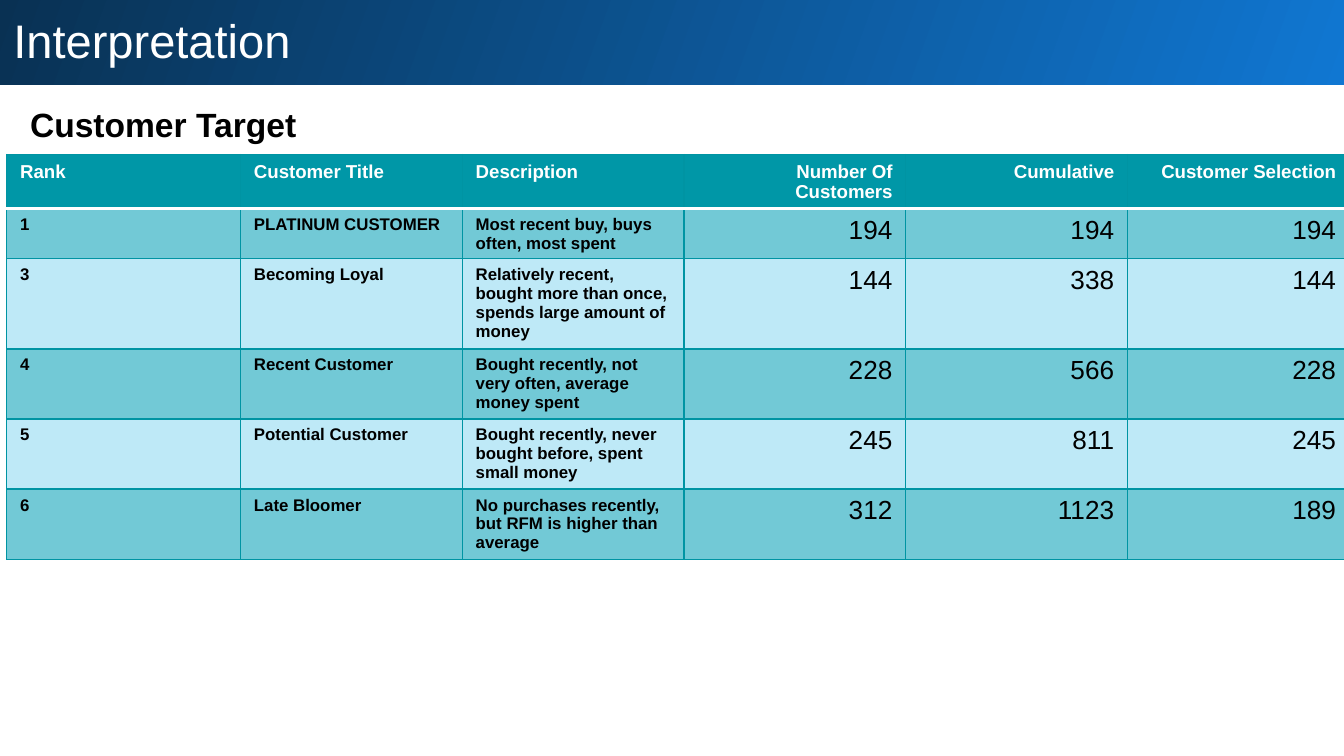
from lxml.etree import SubElement
from pptx import Presentation
from pptx.dml.color import RGBColor
from pptx.enum.shapes import MSO_SHAPE as Shape
from pptx.enum.text import MSO_ANCHOR as Anchor, PP_ALIGN as Align
from pptx.oxml.ns import qn
from pptx.util import Inches, Pt

WIDTH = 10
HEIGHT = WIDTH * 9 / 16
FONT = "Arial"
COLORS = {
    "white": "FFFFFF", "black": "000000",
    "bar_light": "1077D2", "bar_dark": "093153",
    "header": "0097A7", "grid": "0094A3",
    "band": "72C9D6", "plain": "BEE9F7",
}
COLUMN_WIDTHS = [1.74] + [1.65] * 5
ROW_HEIGHTS = [0.4, 0.37, 0.64] + [0.51] * 3
FIRST_NUMBER_COLUMN = 3
ROWS = [
    ("Rank", "Customer Title", "Description", "Number Of Customers",
     "Cumulative", "Customer Selection"),
    ("1", "PLATINUM CUSTOMER", "Most recent buy, buys often, most spent",
     "194", "194", "194"),
    ("3", "Becoming Loyal",
     "Relatively recent, bought more than once, spends large amount of money",
     "144", "338", "144"),
    ("4", "Recent Customer",
     "Bought recently, not very often, average money spent",
     "228", "566", "228"),
    ("5", "Potential Customer",
     "Bought recently, never bought before, spent small money",
     "245", "811", "245"),
    ("6", "Late Bloomer",
     "No purchases recently, but RFM is higher than average",
     "312", "1123", "189"),
]


def color(name):
    return RGBColor.from_string(COLORS[name])


def place(shape, box):
    shape.left, shape.top, shape.width, shape.height = map(Inches, box)


def write(frame, text, size, ink, bold=False, align=Align.LEFT):
    frame.text = text
    para = frame.paragraphs[0]
    para.alignment = align
    para.font.name, para.font.size, para.font.bold = FONT, Pt(size), bold
    para.font.color.rgb = color(ink)
    return para


def set_margins(frame, anchor):
    frame.word_wrap = True
    frame.vertical_anchor = anchor
    frame.margin_left = frame.margin_right = Inches(0.1)
    frame.margin_top = frame.margin_bottom = Inches(0.1)


def add_title_bar(page, box):
    left, top, width, height = box
    bar = page.shapes.add_shape(Shape.RECTANGLE, *map(Inches, box))
    bar.shadow.inherit = False
    bar.line.fill.background()
    bar.fill.gradient()
    bar.fill.gradient_angle = 160
    for stop, name in zip(bar.fill.gradient_stops, ("bar_light", "bar_dark")):
        stop.color.rgb = color(name)

    title = page.shapes.title
    title.element.addprevious(bar.element)
    place(title, (0, top, 0.932 * WIDTH, height - 0.02))
    set_margins(title.text_frame, Anchor.MIDDLE)
    write(title.text_frame, "Interpretation", 25.2, "white")


def add_subtitle(page, box):
    frame = page.shapes.add_textbox(*map(Inches, box)).text_frame
    set_margins(frame, Anchor.TOP)
    para = write(frame, "Customer Target", 18, "black", bold=True)
    para.line_spacing = 1.15
    para._p.get_or_add_pPr().set("marL", str(Inches(0.125)))


def set_borders(cell, edges):
    """Draw edges, a dict of side to (colour name, points), in schema order."""
    properties = cell._tc.get_or_add_tcPr()
    for index, side in enumerate("LRTB"):
        name, points = edges[side]
        line = SubElement(properties, qn(f"a:ln{side}"), w=str(Pt(points)))
        fill = SubElement(line, qn("a:solidFill"))
        SubElement(fill, qn("a:srgbClr"), val=COLORS[name])
        properties.insert(index, line)


def format_cell(cell, text, row, column):
    is_header, is_number = row == 0, column >= FIRST_NUMBER_COLUMN
    size = 10 if is_header else 14 if is_number else 9
    write(cell.text_frame, text, size, "white" if is_header else "black",
          bold=is_header or not is_number,
          align=Align.RIGHT if is_number else Align.LEFT)
    cell.margin_bottom = Inches(0.02)
    cell.fill.solid()
    cell.fill.fore_color.rgb = color(
        "header" if is_header else "band" if row % 2 else "plain")
    edges = dict.fromkeys("LRTB", ("grid", 0.75))
    if row < 2:
        edges["B" if is_header else "T"] = ("white", 2)
    set_borders(cell, edges)


def add_customer_table(page, left, top):
    table = page.shapes.add_table(
        len(ROWS), len(COLUMN_WIDTHS), Inches(left), Inches(top),
        Inches(sum(COLUMN_WIDTHS)), Inches(sum(ROW_HEIGHTS))).table
    for column, width in zip(table.columns, COLUMN_WIDTHS):
        column.width = Inches(width)
    for row, height in zip(table.rows, ROW_HEIGHTS):
        row.height = Inches(height)
    for row, texts in enumerate(ROWS):
        for column, text in enumerate(texts):
            format_cell(table.cell(row, column), text, row, column)


def main():
    deck = Presentation()
    deck.slide_width, deck.slide_height = Inches(WIDTH), Inches(HEIGHT)
    page = deck.slides.add_slide(deck.slide_layouts.get_by_name("Title Only"))
    add_title_bar(page, (-0.02, -0.02, 10.05, 0.65))
    add_subtitle(page, (0, 0.63, 0.932 * WIDTH, 0.65))
    add_customer_table(page, 0.05, 1.15)
    deck.save("out.pptx")


if __name__ == "__main__":
    main()
